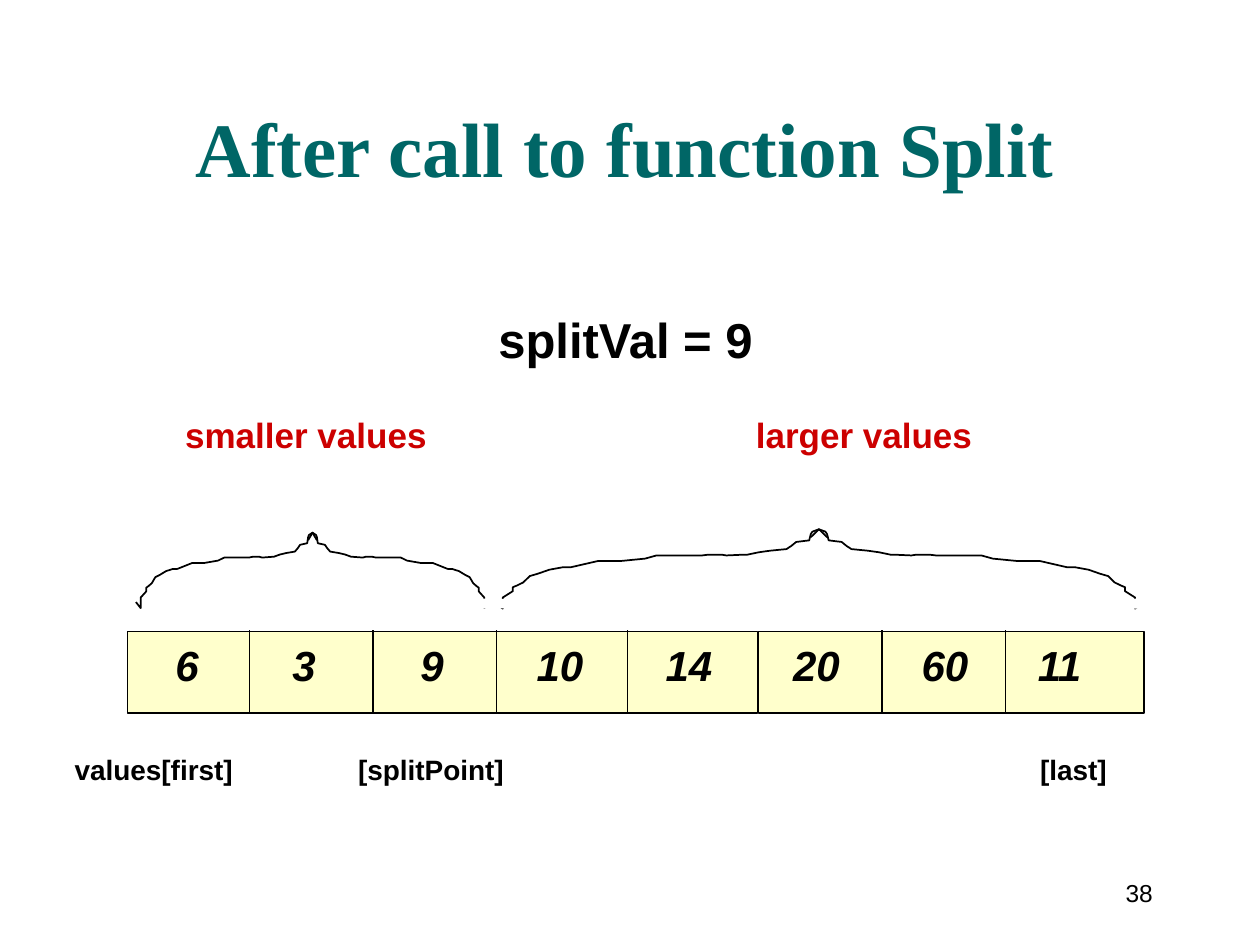
from dataclasses import dataclass

from pptx import Presentation
from pptx.dml.color import RGBColor
from pptx.enum.shapes import MSO_CONNECTOR, MSO_SHAPE
from pptx.enum.text import MSO_ANCHOR as Anchor, PP_ALIGN as Align
from pptx.oxml.ns import qn
from pptx.util import Cm, Pt
from lxml.etree import SubElement

COLORS = {
    "black": "000000",
    "white": "FFFFFF",
    "teal": "006666",
    "red": "CC0000",
    "cream": "FFFFCC",
}

# Half a brace from tip to peak: x in % of its half width, y in % of its height.
BRACE_PROFILE = [
    (0, 92), (2.7, 100), (2.7, 97), (2.7, 86), (5.8, 78), (5.8, 73), (7, 71),
    (9, 67), (11, 59), (13.5, 56), (17, 51), (21, 48), (23.5, 48), (32, 40),
    (36.5, 40), (39, 40), (46.5, 37), (50, 33), (53, 33), (62, 33), (64, 33),
    (66, 32), (68.5, 32), (70, 32), (71.5, 33), (77, 32), (78, 32), (81.5, 29),
    (85, 27), (90, 25), (91.5, 21), (93, 16), (97, 14), (97.5, 6), (98, 3),
    (100, 0), (102.5, 10),
]


@dataclass
class Label:
    """A line of text in a box; x and y are the middle of the box, in cm."""
    text: str
    x: float
    y: float
    size: float
    color: str = "black"
    w: float = 6
    h: float = 1.4
    font: str = "Arial"
    bold: bool = True
    italic: bool = False
    align: Align = Align.CENTER
    anchor: Anchor = Anchor.MIDDLE


@dataclass
class Brace:
    peak: float
    half: float
    top: float
    height: float


@dataclass
class Strip:
    """A run of array cells with the x places of its inner dividers, in cm."""
    left: float
    width: float
    dividers: list[float]


STRIPS = [
    Strip(2.57, 12.7, [5.03, 7.52, 10.01, 12.65]),
    Strip(15.29, 7.77, [17.78, 20.27]),
]
BRACES = [Brace(16.51, 6.55, 10.67, 1.6), Brace(6.3, 3.56, 10.74, 1.52)]
TIP_COVERS = [8.89, 22.02]
VALUES = [("6", 3.77), ("3", 6.13), ("9", 8.71), ("10", 11.29),
          ("14", 13.89), ("20", 16.46), ("60", 19.05), ("11", 21.36)]
INDEXES = [("values[first]", 3.1), ("[splitPoint]", 8.69), ("[last]", 21.64)]

LABELS = [
    Label("After call to function Split", 12.6, 2.43, 44, "teal", 21.79, 3.18,
          "Times New Roman", anchor=Anchor.BOTTOM),
    Label("splitVal = 9", 12.61, 6.83, 28),
    Label("smaller values", 6.17, 8.76, 20, "red"),
    Label("larger values", 17.42, 8.76, 20, "red"),
    *[Label(t, x, 13.41, 24, w=2.4, italic=True) for t, x in VALUES],
    *[Label(t, x, 15.5, 16, w=5) for t, x in INDEXES],
    Label("38", 22.64, 17.99, 14, w=1.7, bold=False, align=Align.RIGHT),
]


def rgb(name: str) -> RGBColor:
    return RGBColor.from_string(COLORS[name])


def outline(sp) -> None:
    sp.line.color.rgb = rgb("black")
    sp.line.width = Pt(1)


def add_label(s, lb: Label) -> None:
    sp = s.shapes.add_textbox(Cm(lb.x - lb.w / 2), Cm(lb.y - lb.h / 2),
                              Cm(lb.w), Cm(lb.h))
    tf = sp.text_frame
    tf.word_wrap = True
    tf.vertical_anchor = lb.anchor
    p = tf.paragraphs[0]
    p.alignment = lb.align
    r = p.add_run()
    r.text = lb.text
    r.font.name = lb.font
    r.font.size = Pt(lb.size)
    r.font.bold = lb.bold
    r.font.italic = lb.italic
    r.font.color.rgb = rgb(lb.color)


def add_strip(s, strip: Strip) -> None:
    sp = s.shapes.add_shape(MSO_SHAPE.RECTANGLE, Cm(strip.left), Cm(12.73),
                            Cm(strip.width), Cm(1.65))
    sp.shadow.inherit = False
    sp.fill.solid()
    sp.fill.fore_color.rgb = rgb("cream")
    outline(sp)
    for x in strip.dividers:
        line = s.shapes.add_connector(MSO_CONNECTOR.STRAIGHT,
                                      Cm(x), Cm(12.7), Cm(x), Cm(14.4))
        outline(line)
        SubElement(line._element.spPr, qn("a:effectLst"))


def add_brace(s, brace: Brace) -> None:
    """Draw the profile to the left of the peak and mirrored to its right."""
    for side in (-1, 1):
        pts = [(Cm(brace.peak + side * brace.half * (1 - u / 100)),
                Cm(brace.top + brace.height * v / 100))
               for u, v in BRACE_PROFILE]
        builder = s.shapes.build_freeform(*pts[0])
        builder.add_line_segments(pts[1:], close=False)
        sp = builder.convert_to_shape()
        sp.shadow.inherit = False
        sp.fill.background()
        outline(sp)


def add_tip_cover(s, left: float) -> None:
    sp = s.shapes.add_shape(MSO_SHAPE.OVAL, Cm(left), Cm(12.07), Cm(1.91), Cm(0.2))
    sp.shadow.inherit = False
    sp.fill.solid()
    sp.fill.fore_color.rgb = rgb("white")
    sp.line.fill.background()


def main() -> None:
    prs = Presentation()
    prs.slide_width, prs.slide_height = Cm(25.4), Cm(19.05)
    s = prs.slides.add_slide(prs.slide_layouts[6])
    for strip in STRIPS:
        add_strip(s, strip)
    for brace in BRACES:
        add_brace(s, brace)
    for left in TIP_COVERS:
        add_tip_cover(s, left)
    for label in LABELS:
        add_label(s, label)
    prs.save("out.pptx")


if __name__ == "__main__":
    main()
